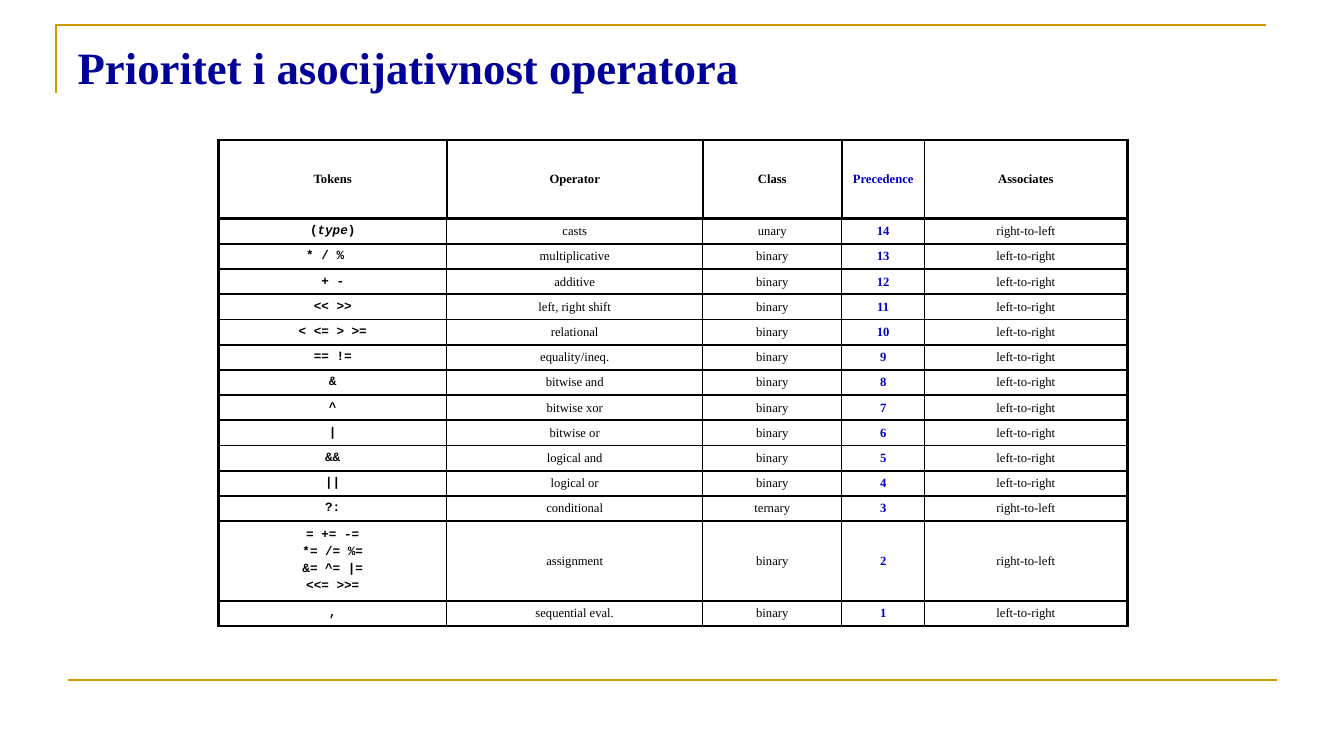
"""Build the slide on operator precedence and associativity."""
import pptx
import pptx.dml.color
import pptx.enum.shapes
import pptx.enum.text
import pptx.oxml
import pptx.oxml.ns
import pptx.util

TITLE = "Prioritet i asocijativnost operatora"
HEADERS = ["Tokens", "Operator", "Class", "Precedence", "Associates"]
LEFT, RIGHT = "left-to-right", "right-to-left"
OPERATORS = [
    ("(type)", "casts", "unary", RIGHT),
    ("* / %", "multiplicative", "binary", LEFT),
    ("+ -", "additive", "binary", LEFT),
    ("<< >>", "left, right shift", "binary", LEFT),
    ("< <= > >=", "relational", "binary", LEFT),
    ("== !=", "equality/ineq.", "binary", LEFT),
    ("&", "bitwise and", "binary", LEFT),
    ("^", "bitwise xor", "binary", LEFT),
    ("|", "bitwise or", "binary", LEFT),
    ("&&", "logical and", "binary", LEFT),
    ("||", "logical or", "binary", LEFT),
    ("?:", "conditional", "ternary", RIGHT),
    ("= += -=\n*= /= %=\n&= ^= |=\n<<= >>=", "assignment", "binary", RIGHT),
    (",", "sequential eval.", "binary", LEFT),
]
COLUMN_WIDTHS = [2.26, 2.54, 1.38, 0.82, 2.01]
HEADER_HEIGHT, ROW_HEIGHT, LINE_HEIGHT = 0.78, 0.25, 0.18
TABLE_LEFT, TABLE_TOP = 2.17, 1.39
TITLE_BOX = (0.67, 0.3, 12, 0.85)
BRACKET = [(0.56, 0.92), (0.56, 0.25), (12.56, 0.25)]
FOOT_LINE = [(0.67, 6.75), (12.67, 6.75)]
SERIF, MONO = "Times New Roman", "Courier New"
NAVY, BLUE, BLACK, GOLD = "000099", "0000CC", "000000", "CC9900"
THICK, MEDIUM, THIN = 2.25, 1.5, 1

inches = pptx.util.Inches


def color(value):
    """Turn a hex string into a colour."""
    return pptx.dml.color.RGBColor.from_string(value)


def style_font(font, shade, **values):
    """Set the colour and the given values of a font."""
    font.color.rgb = color(shade)
    for name, value in values.items():
        setattr(font, name, value)


def style_line(line):
    """Give a rule its gold stroke."""
    line.color.rgb = color(GOLD)
    line.width = pptx.util.Pt(MEDIUM)


def add_rules(page):
    """Draw the corner bracket and the line at the foot."""
    points = [(inches(x), inches(y)) for x, y in BRACKET]
    builder = page.shapes.build_freeform(*points[0])
    builder.add_line_segments(points[1:], close=False)
    bracket = builder.convert_to_shape()
    bracket.fill.background()
    bracket.shadow.inherit = False
    style_line(bracket.line)
    ends = [inches(length) for point in FOOT_LINE for length in point]
    foot = page.shapes.add_connector(pptx.enum.shapes.MSO_CONNECTOR.STRAIGHT, *ends)
    style_line(foot.line)
    foot.element.spPr.append(pptx.oxml.parse_xml(
        f"<a:effectLst {pptx.oxml.ns.nsdecls('a')}/>"))


def add_title(page):
    """Place and format the title."""
    title = page.shapes.title
    for name, length in zip(("left", "top", "width", "height"), TITLE_BOX):
        setattr(title, name, inches(length))
    frame = title.text_frame
    frame.text = TITLE
    frame.word_wrap = True
    frame.auto_size = pptx.enum.text.MSO_AUTO_SIZE.NONE
    frame.vertical_anchor = pptx.enum.text.MSO_ANCHOR.TOP
    frame.margin_top = inches(0.09)
    para = frame.paragraphs[0]
    para.alignment = pptx.enum.text.PP_ALIGN.LEFT
    style_font(para.runs[0].font, NAVY, name=SERIF, size=pptx.util.Pt(32), bold=True)


def add_borders(cell, widths):
    """Draw the left, right, top and bottom borders of a cell."""
    properties = cell._tc.get_or_add_tcPr()
    for index, (side, width) in enumerate(zip("LRTB", widths)):
        properties.insert(index, pptx.oxml.parse_xml(
            f'<a:ln{side} {pptx.oxml.ns.nsdecls("a")} w="{pptx.util.Pt(width)}">'
            f'<a:solidFill><a:srgbClr val="{BLACK}"/></a:solidFill></a:ln{side}>'))


def fill_cell(cell, text, row, column):
    """Write and format the text of a cell."""
    cell.fill.background()
    cell.vertical_anchor = pptx.enum.text.MSO_ANCHOR.MIDDLE
    if text == "* / %":
        cell.margin_right = inches(0.25)
    is_code = row > 0 and column == 0
    frame = cell.text_frame
    for index, line in enumerate(text.split("\n")):
        para = frame.add_paragraph() if index else frame.paragraphs[0]
        para.alignment = pptx.enum.text.PP_ALIGN.CENTER
        if index:
            para.space_before = pptx.util.Pt(1.8)
        for part in ("(", "type", ")") if line == "(type)" else (line,):
            span = para.add_run()
            span.text = part
            style_font(span.font, BLUE if column == 3 else BLACK,
                       name=MONO if is_code else SERIF, size=pptx.util.Pt(9),
                       bold=row == 0 or column in (0, 3), italic=part == "type")


def add_operator_table(page):
    """Build the table of operators, highest precedence first."""
    rows = [HEADERS]
    for index, (tokens, name, kind, side) in enumerate(OPERATORS):
        rows.append((tokens, name, kind, str(len(OPERATORS) - index), side))
    heights = [HEADER_HEIGHT] + [
        ROW_HEIGHT + LINE_HEIGHT * row[0].count("\n") for row in rows[1:]]
    table = page.shapes.add_table(
        len(rows), len(HEADERS), inches(TABLE_LEFT), inches(TABLE_TOP),
        inches(sum(COLUMN_WIDTHS)), inches(sum(heights))).table
    table.first_row = table.horz_banding = False
    for column, width in zip(table.columns, COLUMN_WIDTHS):
        column.width = inches(width)
    last_row, last_column = len(rows) - 1, len(HEADERS) - 1
    for row, texts in enumerate(rows):
        table.rows[row].height = inches(heights[row])
        inner = THIN if row else MEDIUM
        for column, text in enumerate(texts):
            cell = table.cell(row, column)
            fill_cell(cell, text, row, column)
            add_borders(cell, (
                THICK if column == 0 else inner,
                THICK if column == last_column else inner,
                THICK if row < 2 else MEDIUM,
                THICK if row in (0, last_row) else MEDIUM))


def main():
    """Assemble the slide and save it."""
    deck = pptx.Presentation()
    deck.slide_width, deck.slide_height = inches(13.33), inches(7.5)
    page = deck.slides.add_slide(deck.slide_layouts[5])
    add_rules(page)
    add_title(page)
    add_operator_table(page)
    deck.save("out.pptx")


if __name__ == "__main__":
    main()
